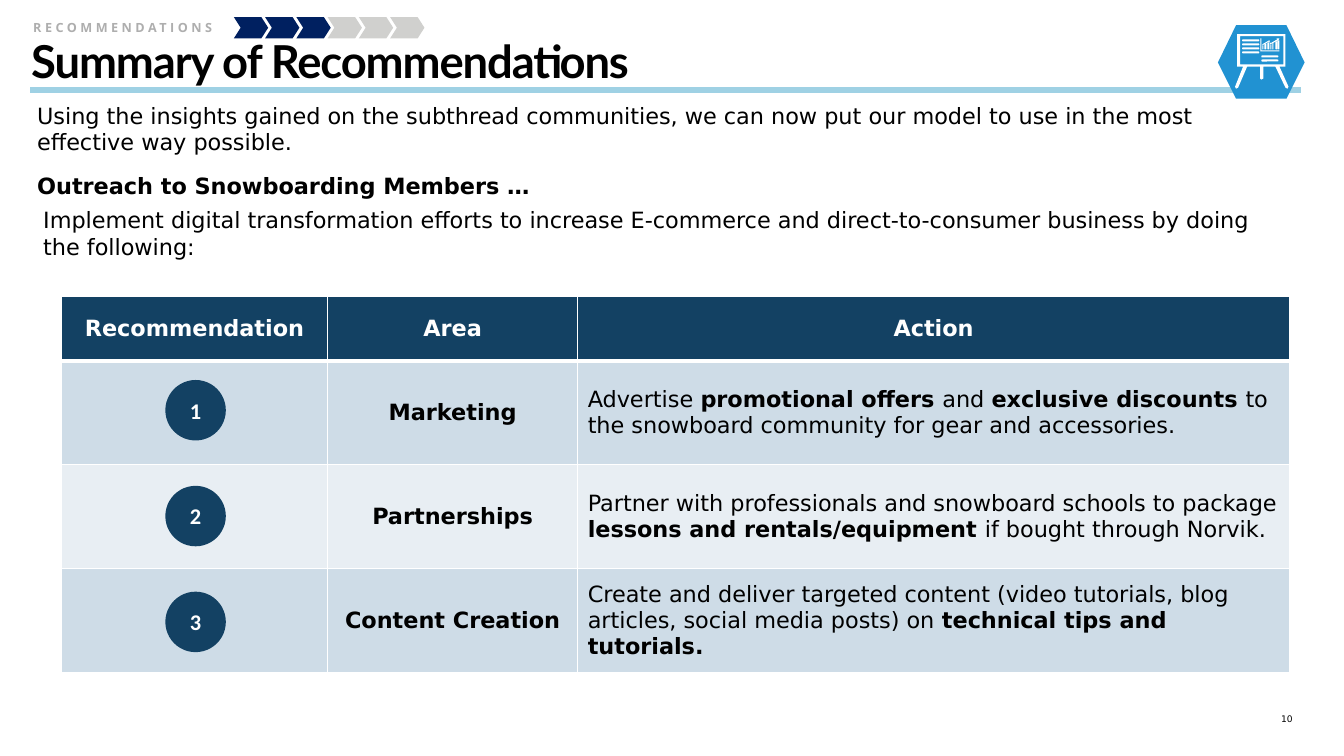
from lxml import etree
from pptx import Presentation
from pptx.dml.color import RGBColor
from pptx.enum.shapes import MSO_CONNECTOR, MSO_SHAPE
from pptx.enum.text import MSO_ANCHOR, PP_ALIGN
from pptx.oxml.ns import qn
from pptx.util import Inches, Pt

BLACK = RGBColor(0x00, 0x00, 0x00)
WHITE = RGBColor(0xFF, 0xFF, 0xFF)
LABEL_GREY = RGBColor(0xAE, 0xAE, 0xAE)
STEP_GREY = RGBColor(0xD0, 0xD0, 0xCE)
STEP_NAVY = RGBColor(0x00, 0x20, 0x60)
RULE_BLUE = RGBColor(0x9F, 0xD1, 0xE4)
BADGE_BLUE = RGBColor(0x21, 0x92, 0xD2)
HEADER_BLUE = RGBColor(0x13, 0x41, 0x63)
BAND_DARK = RGBColor(0xCE, 0xDC, 0xE7)
BAND_LIGHT = RGBColor(0xE8, 0xEE, 0xF3)

LEFT, CENTER, RIGHT = PP_ALIGN.LEFT, PP_ALIGN.CENTER, PP_ALIGN.RIGHT
TOP, MIDDLE = MSO_ANCHOR.TOP, MSO_ANCHOR.MIDDLE
STRAIGHT = MSO_CONNECTOR.STRAIGHT
CHEVRON, OVAL, ROUNDED = MSO_SHAPE.CHEVRON, MSO_SHAPE.OVAL, MSO_SHAPE.ROUNDED_RECTANGLE

BODY = {"name": "DejaVu Sans", "size": Pt(16), "bold": False}
BODY_BOLD = {**BODY, "bold": True}
TITLE = {"name": "Lato", "size": Pt(32.4), "bold": True}
LABEL = {"name": "Open Sans", "size": Pt(9), "bold": True}
PAGE_NUMBER = {"name": "DejaVu Sans", "size": Pt(6.5), "bold": False}
NUMBER = {"name": "Calibri", "size": Pt(16), "bold": True}
NO_MARGINS = dict.fromkeys(("margin_left", "margin_top", "margin_right", "margin_bottom"), 0)

COLUMN_WIDTHS = (2.64, 2.48, 7.06)
ROW_HEIGHTS = (0.64, 1.03, 1.03, 1.03)
HEADINGS = ("Recommendation", "Area", "Action")
RECOMMENDATIONS = (
    ("Marketing", (
        ("Advertise ", False), ("promotional offers ", True), ("and ", False),
        ("exclusive discounts ", True),
        ("to the snowboard community for gear and accessories.", False))),
    ("Partnerships", (
        ("Partner with professionals and snowboard schools to package ", False),
        ("lessons and rentals/equipment ", True), ("if bought through Norvik.", False))),
    ("Content Creation", (
        ("Create and deliver targeted content (video tutorials, blog articles, "
         "social media posts) on ", False),
        ("technical tips and tutorials.", True))),
)

HEXAGON = ((12.26, 0.25), (12.76, 0.25), (12.94, 0.62), (12.76, 0.98), (12.26, 0.98), (12.08, 0.62))
EASEL = (
    (12.27, 0.34), (12.75, 0.34), (12.75, 0.66), (12.69, 0.66), (12.78, 0.86), (12.77, 0.88),
    (12.75, 0.87), (12.65, 0.66), (12.53, 0.66), (12.53, 0.78), (12.51, 0.79), (12.5, 0.78),
    (12.5, 0.66), (12.37, 0.66), (12.28, 0.87), (12.26, 0.88), (12.25, 0.86), (12.33, 0.66),
    (12.27, 0.66))
BOARD_OPENING = ((12.3, 0.36), (12.3, 0.64), (12.73, 0.64), (12.73, 0.36))
CHART_AXES = ((12.5, 0.38), (12.51, 0.38), (12.51, 0.5), (12.69, 0.5), (12.69, 0.51), (12.5, 0.51))
TREND_ARROW = (
    (12.52, 0.44), (12.59, 0.4), (12.6, 0.43), (12.67, 0.39), (12.66, 0.38),
    (12.69, 0.38), (12.68, 0.4), (12.6, 0.44), (12.59, 0.41), (12.52, 0.45))
CHART_BARS = (
    (12.52, 0.45, 0.01), (12.54, 0.43, 0.02), (12.57, 0.42, 0.02), (12.6, 0.44, 0.01),
    (12.62, 0.42, 0.01), (12.65, 0.41, 0.02), (12.67, 0.4, 0.02))
CHART_BASE = 0.49
BOARD_LINES = [(12.32, 0.39 + 0.04 * i) for i in range(4)] + [(12.51, 0.55), (12.51, 0.59)]


def apply(target, values):
    for key, value in values.items():
        setattr(target, key, value)


def box(left, top, width, height):
    return [Inches(value) for value in (left, top, width, height)]


def write(frame, runs, color, align=LEFT, spacing=None):
    paragraph = frame.paragraphs[0]
    paragraph.alignment = align
    for text, style in runs:
        run = paragraph.add_run()
        run.text = text
        apply(run.font, style)
        run.font.color.rgb = color
        if spacing is not None:
            run.font._element.set("spc", str(spacing))


def add_text(slide, place, text, style, color=BLACK, align=LEFT, spacing=None, frame_values=None):
    frame = slide.shapes.add_textbox(*box(*place)).text_frame
    apply(frame, {"word_wrap": True, "vertical_anchor": TOP, **(frame_values or {})})
    write(frame, [(text, style)], color, align, spacing)


def paint(shape, color):
    shape.shadow.inherit = False
    shape.fill.solid()
    shape.fill.fore_color.rgb = color
    shape.line.fill.background()


def add_preset(slide, kind, place, color, adjustment=None):
    shape = slide.shapes.add_shape(kind, *box(*place))
    paint(shape, color)
    if adjustment is not None:
        shape.adjustments[0] = adjustment
    return shape


def add_outline(slide, contours, color):
    first, *others = [[(Inches(x), Inches(y)) for x, y in contour] for contour in contours]
    builder = slide.shapes.build_freeform(*first[0])
    builder.add_line_segments(first[1:], close=True)
    for contour in others:
        builder.move_to(*contour[0])
        builder.add_line_segments(contour[1:], close=True)
    paint(builder.convert_to_shape(), color)


def add_title_rule(slide):
    rule = slide.shapes.add_connector(STRAIGHT, *box(0.3, 0.89, 12.9, 0.89))
    rule.line.color.rgb = RULE_BLUE
    rule.line.width = Pt(4.5)
    etree.SubElement(rule._element.spPr, qn("a:effectLst"))


def add_progress(slide):
    for step in range(6):
        color = STEP_NAVY if step < 3 else STEP_GREY
        add_preset(slide, CHEVRON, (2.32 + 0.31 * step, 0.17, 0.34, 0.21), color, 0.32)


def add_easel_icon(slide):
    add_outline(slide, [EASEL, BOARD_OPENING], WHITE)
    add_outline(slide, [CHART_AXES], WHITE)
    add_outline(slide, [TREND_ARROW], WHITE)
    for left, top, width in CHART_BARS:
        add_preset(slide, ROUNDED, (left, top, width, CHART_BASE - top), WHITE, 0.3)
    for left, top in BOARD_LINES:
        add_preset(slide, ROUNDED, (left, top, 0.17, 0.02), WHITE, 0.5)


def format_cell(cell, color, bottom_width):
    properties = cell._tc.get_or_add_tcPr()
    for side, width in (("L", 1), ("R", 1), ("T", 1), ("B", bottom_width)):
        border = etree.SubElement(properties, qn(f"a:ln{side}"), w=str(Pt(width)))
        fill = etree.SubElement(border, qn("a:solidFill"))
        etree.SubElement(fill, qn("a:srgbClr"), val=str(WHITE))
    cell.fill.solid()
    cell.fill.fore_color.rgb = color
    cell.vertical_anchor = MIDDLE


def add_recommendation_table(slide):
    place = box(0.61, 2.94, sum(COLUMN_WIDTHS), sum(ROW_HEIGHTS))
    table = slide.shapes.add_table(len(ROW_HEIGHTS), len(COLUMN_WIDTHS), *place).table
    for column, width in zip(table.columns, COLUMN_WIDTHS):
        column.width = Inches(width)
    for index, (row, height) in enumerate(zip(table.rows, ROW_HEIGHTS)):
        row.height = Inches(height)
        color = HEADER_BLUE if index == 0 else BAND_DARK if index % 2 else BAND_LIGHT
        for cell in row.cells:
            format_cell(cell, color, 1 if index else 3)
    for column, heading in enumerate(HEADINGS):
        write(table.cell(0, column).text_frame, [(heading, BODY_BOLD)], WHITE, CENTER)
    for row, (area, action) in enumerate(RECOMMENDATIONS, 1):
        write(table.cell(row, 1).text_frame, [(area, BODY_BOLD)], BLACK, CENTER)
        runs = [(text, BODY_BOLD if bold else BODY) for text, bold in action]
        write(table.cell(row, 2).text_frame, runs, BLACK)


def add_number_circles(slide):
    for index in range(len(RECOMMENDATIONS)):
        circle = add_preset(slide, OVAL, (1.64, 3.77 + 1.05 * index, 0.6, 0.6), HEADER_BLUE)
        apply(circle.text_frame, {**NO_MARGINS, "vertical_anchor": MIDDLE})
        write(circle.text_frame, [(str(index + 1), NUMBER)], WHITE, CENTER)


def main():
    presentation = Presentation()
    apply(presentation, {"slide_width": Inches(13.33), "slide_height": Inches(7.5)})
    slide = presentation.slides.add_slide(presentation.slide_layouts[6])

    add_text(slide, (12.48, 7.08, 0.34, 0.11), "10", PAGE_NUMBER, align=RIGHT, frame_values=NO_MARGINS)
    add_title_rule(slide)
    add_outline(slide, [HEXAGON], BADGE_BLUE)
    add_text(slide, (0.31, 0.33, 12.31, 0.37), "Summary of Recommendations", TITLE,
             spacing=-80, frame_values=NO_MARGINS)
    add_text(slide, (0.33, 0.2, 3.67, 0.22), "RECOMMENDATIONS", LABEL, LABEL_GREY,
             spacing=250, frame_values=NO_MARGINS)
    add_text(slide, (0.27, 0.96, 12.31, 0.61),
             "Using the insights gained on the subthread communities, we can now put our model "
             "to use in the most effective way possible.", BODY)
    add_recommendation_table(slide)
    add_number_circles(slide)
    add_progress(slide)
    add_easel_icon(slide)
    add_text(slide, (0.27, 1.66, 12.31, 0.39), "Outreach to Snowboarding Members …", BODY_BOLD)
    add_text(slide, (0.33, 2, 12.22, 0.64),
             "Implement digital transformation efforts to increase E-commerce and "
             "direct-to-consumer business by doing the following:", BODY)
    presentation.save("out.pptx")


if __name__ == "__main__":
    main()
